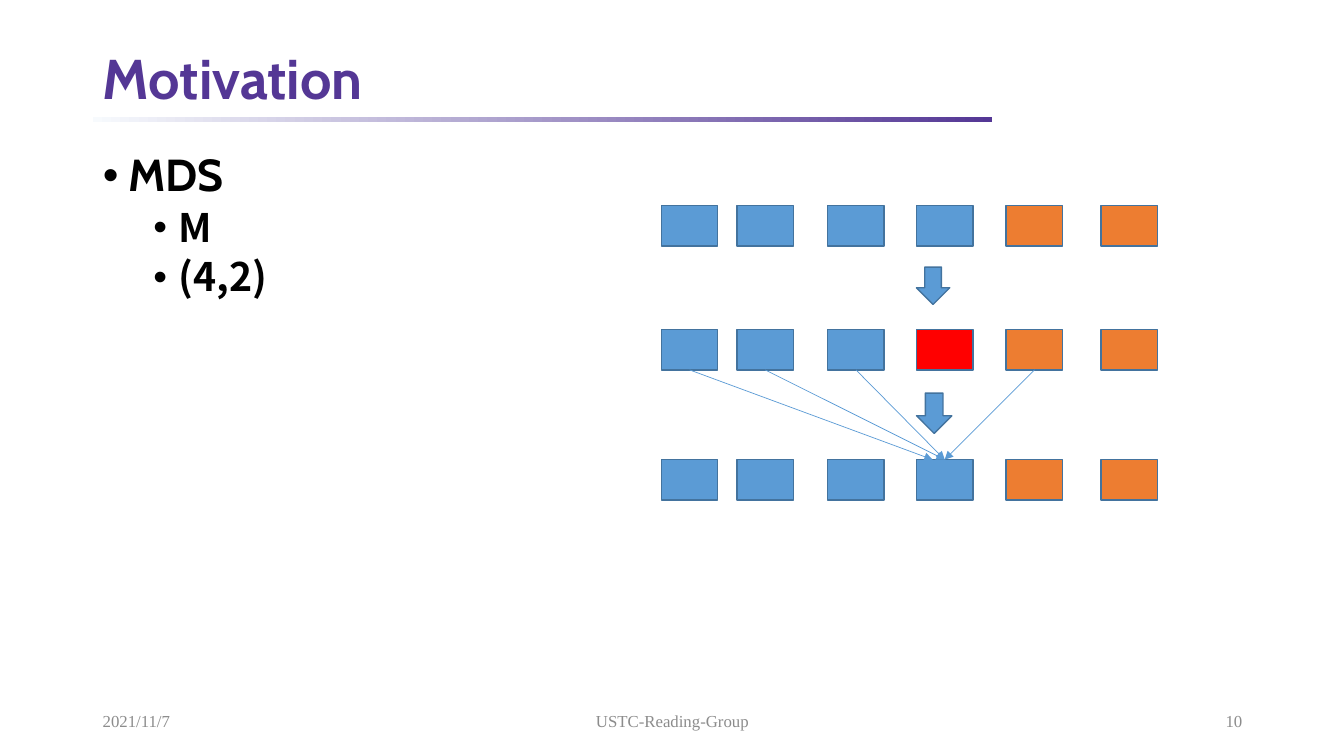
"""Build the Motivation slide: an MDS (4,2) stripe losing and rebuilding a block."""
from lxml.etree import SubElement
from pptx import Presentation
from pptx.dml.color import RGBColor as Rgb
from pptx.enum.shapes import MSO_CONNECTOR as Link, MSO_SHAPE as Preset
from pptx.enum.text import MSO_ANCHOR as Anchor, MSO_AUTO_SIZE as Fit, PP_ALIGN as Align
from pptx.oxml.ns import qn
from pptx.util import Inches, Pt

THEME = {
    "purple": Rgb.from_string("543795"), "pale": Rgb.from_string("F7FAFD"),
    "black": Rgb.from_string("000000"), "grey": Rgb.from_string("8C8C8C"),
    "data": Rgb.from_string("5B9BD5"), "parity": Rgb.from_string("ED7D31"),
    "lost": Rgb.from_string("FF0000"), "edge": Rgb.from_string("43739E"),
    "title": Pt(40), "topic": Pt(32), "point": Pt(28), "footer": Pt(12),
    "heading_font": "Cabin", "point_font": "Noto Sans CJK SC", "footer_font": "Times New Roman",
}
MARGIN = 0.92
COLUMNS = (6.56, 7.31, 8.21, 9.09, 9.98, 10.92)
ROWS = (2.04, 3.27, 4.56)
BLOCK = (0.56, 0.4)
LOST = 3


def write(para, text, color, **formats):
    """Add one formatted span to a paragraph."""
    span = para.add_run()
    span.text = text
    span.font.color.rgb = THEME[color]
    for name, value in formats.items():
        setattr(span.font, name, value)


def draw(preset, left, top, width, height, color):
    """Draw one outlined shape with a flat fill."""
    shape = page.shapes.add_shape(preset, *map(Inches, (left, top, width, height)))
    shape.shadow.inherit = False
    shape.fill.solid()
    shape.fill.fore_color.rgb = THEME[color]
    shape.line.color.rgb = THEME["edge"]
    shape.line.width = Pt(1)
    return shape


deck = Presentation()
deck.slide_width, deck.slide_height = Inches(13.33), Inches(7.5)
page = deck.slides.add_slide(deck.slide_layouts[1])
title, body = page.placeholders

for box, place, anchor in (
    (title, (MARGIN, 0.43, 11.5, 0.75), Anchor.MIDDLE),
    (body, (MARGIN, 1.47, 12.11, 3.38), Anchor.TOP),
):
    box.left, box.top, box.width, box.height = map(Inches, place)
    box.text_frame.auto_size = Fit.NONE
    box.text_frame.vertical_anchor = anchor

para = title.text_frame.paragraphs[0]
para.alignment, para.line_spacing = Align.LEFT, 0.9
write(para, "Motivation", "purple", size=THEME["title"], name=THEME["heading_font"], bold=True)

rule = draw(Preset.RECTANGLE, MARGIN, 1.16, 8.92, 0.05, "purple")
rule.line.fill.background()
rule.fill.gradient()
rule.fill.gradient_angle = 0
for stop, color in zip(rule.fill.gradient_stops, ("pale", "purple")):
    stop.color.rgb = THEME[color]

for index, (text, level) in enumerate((("MDS", 0), ("M", 1), ("(4,2)", 1))):
    para = body.text_frame.add_paragraph() if index else body.text_frame.paragraphs[0]
    para.level, para.line_spacing = level, 0.9
    para.space_before = Pt((10, 5)[level])
    props = para._p.get_or_add_pPr()
    props.set("marL", str(Inches(0.25 + 0.5 * level)))
    props.set("indent", str(Inches(-0.25)))
    SubElement(props, qn("a:buFont")).set("typeface", "Arial")
    SubElement(props, qn("a:buChar")).set("char", "•")
    role = ("topic", "point")[level]
    font = THEME[("heading_font", "point_font")[level]]
    write(para, text, "black", size=THEME[role], name=font, bold=True)

for text, left, width, align in (
    ("2021/11/7", MARGIN, 3, Align.LEFT),
    ("USTC-Reading-Group", 4.42, 4.5, Align.CENTER),
    ("10", 9.42, 3, Align.RIGHT),
):
    box = page.shapes.add_textbox(*map(Inches, (left, 6.95, width, 0.4)))
    box.text_frame.word_wrap = True
    box.text_frame.vertical_anchor = Anchor.MIDDLE
    para = box.text_frame.paragraphs[0]
    para.alignment = align
    write(para, text, "grey", size=THEME["footer"], name=THEME["footer_font"])

stripes = []
for row, top in enumerate(ROWS):
    colors = ["data"] * 4 + ["parity"] * 2
    if row == 1:
        colors[LOST] = "lost"
    stripes.append([draw(Preset.RECTANGLE, left, top, *BLOCK, color)
                    for left, color in zip(COLUMNS, colors)])

for top, width, height in ((2.65, 0.33, 0.37), (3.9, 0.35, 0.4)):
    draw(Preset.DOWN_ARROW, COLUMNS[LOST], top, width, height, "data")

rebuilt = stripes[2][LOST]
for column in (0, 1, 2, 4):
    arrow = page.shapes.add_connector(Link.STRAIGHT, 0, 0, Inches(9.25), Inches(ROWS[2]))
    arrow.begin_connect(stripes[1][column], 2)
    if column:
        arrow.end_connect(rebuilt, 0)
    arrow.line.color.rgb = THEME["data"]
    arrow.line.width = Pt(0.5)
    SubElement(arrow.line._get_or_add_ln(), qn("a:tailEnd")).set("type", "triangle")
    SubElement(arrow._element.spPr, qn("a:effectLst"))

deck.save("out.pptx")
